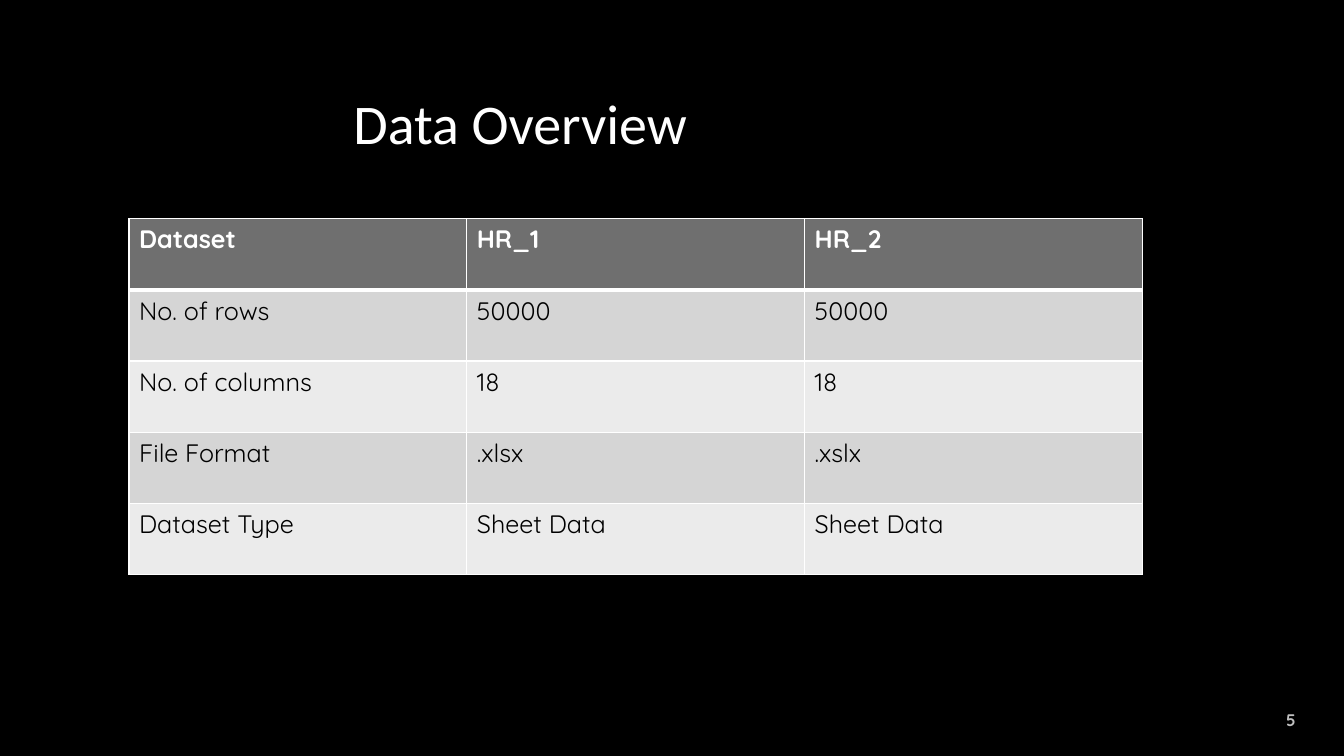
from lxml import etree
from pptx import Presentation
from pptx.dml.color import RGBColor
from pptx.enum.text import MSO_ANCHOR, PP_ALIGN
from pptx.oxml.ns import qn
from pptx.util import Inches, Pt

BLACK = RGBColor(0x00, 0x00, 0x00)
WHITE = RGBColor(0xFF, 0xFF, 0xFF)
HEADER_GRAY = RGBColor(0x6F, 0x6F, 0x6F)
BAND_GRAYS = (RGBColor(0xEB, 0xEB, 0xEB), RGBColor(0xD5, 0xD5, 0xD5))
NUMBER_GRAY = RGBColor(0xBF, 0xBF, 0xBF)

TITLE_FONT = {"name": "Calibri", "size": Pt(40), "bold": False}
HEADER_FONT = {"name": "Quicksand", "size": Pt(18), "bold": True}
BODY_FONT = HEADER_FONT | {"bold": False}
NUMBER_FONT = HEADER_FONT | {"size": Pt(12)}

DATASETS = (
    ("Dataset", "HR_1", "HR_2"),
    ("No. of rows", "50000", "50000"),
    ("No. of columns", "18", "18"),
    ("File Format", ".xlsx", ".xslx"),
    ("Dataset Type", "Sheet Data", "Sheet Data"),
)


def write_text(frame, text, font_format, color, alignment=PP_ALIGN.LEFT):
    frame.text = text
    paragraph = frame.paragraphs[0]
    paragraph.alignment = alignment
    for name, value in font_format.items():
        setattr(paragraph.font, name, value)
    paragraph.font.color.rgb = color


def set_borders(cell, widths):
    """Draw white cell borders; widths maps a side letter to points."""
    properties = cell._tc.get_or_add_tcPr()
    for index, (side, width) in enumerate(widths.items()):
        line = etree.Element(qn(f"a:ln{side}"), w=str(Pt(width)))
        fill = etree.SubElement(line, qn("a:solidFill"))
        etree.SubElement(fill, qn("a:srgbClr"), val=str(WHITE))
        properties.insert(index, line)


def add_title(slide, left, top, width, height):
    title = slide.shapes.title
    title.left, title.top, title.width, title.height = left, top, width, height
    title.text_frame.vertical_anchor = MSO_ANCHOR.TOP
    write_text(title.text_frame, "Data Overview", TITLE_FONT, WHITE, PP_ALIGN.CENTER)


def add_dataset_table(slide, left, top, width, height):
    table = slide.shapes.add_table(
        len(DATASETS), len(DATASETS[0]), left, top, width, height
    ).table
    for row_index, row in enumerate(DATASETS):
        is_header = row_index == 0
        fill_color = HEADER_GRAY if is_header else BAND_GRAYS[row_index % 2]
        font_format = HEADER_FONT if is_header else BODY_FONT
        text_color = WHITE if is_header else BLACK
        borders = {
            "L": 1,
            "R": 1,
            "T": 3 if row_index == 1 else 1,
            "B": 3 if is_header else 1,
        }
        for column_index, text in enumerate(row):
            cell = table.cell(row_index, column_index)
            cell.fill.solid()
            cell.fill.fore_color.rgb = fill_color
            set_borders(cell, borders)
            write_text(cell.text_frame, text, font_format, text_color)


def add_slide_number(slide, left, top, width, height):
    frame = slide.shapes.add_textbox(left, top, width, height).text_frame
    frame.word_wrap = True
    frame.vertical_anchor = MSO_ANCHOR.MIDDLE
    write_text(frame, "5", NUMBER_FONT, NUMBER_GRAY, PP_ALIGN.RIGHT)


def build_overview_slide(presentation):
    slide = presentation.slides.add_slide(presentation.slide_layouts[5])
    slide.background.fill.solid()
    slide.background.fill.fore_color.rgb = BLACK
    add_dataset_table(slide, Inches(1.28), Inches(2.17), Inches(10.05), Inches(3.53))
    add_title(slide, Inches(2.94), Inches(0.83), Inches(4.44), Inches(0.96))
    add_slide_number(slide, Inches(12.35), Inches(6.94), Inches(0.6), Inches(0.4))


def main():
    presentation = Presentation()
    presentation.slide_width = Inches(13.33)
    presentation.slide_height = Inches(7.5)
    build_overview_slide(presentation)
    presentation.save("out.pptx")


if __name__ == "__main__":
    main()
